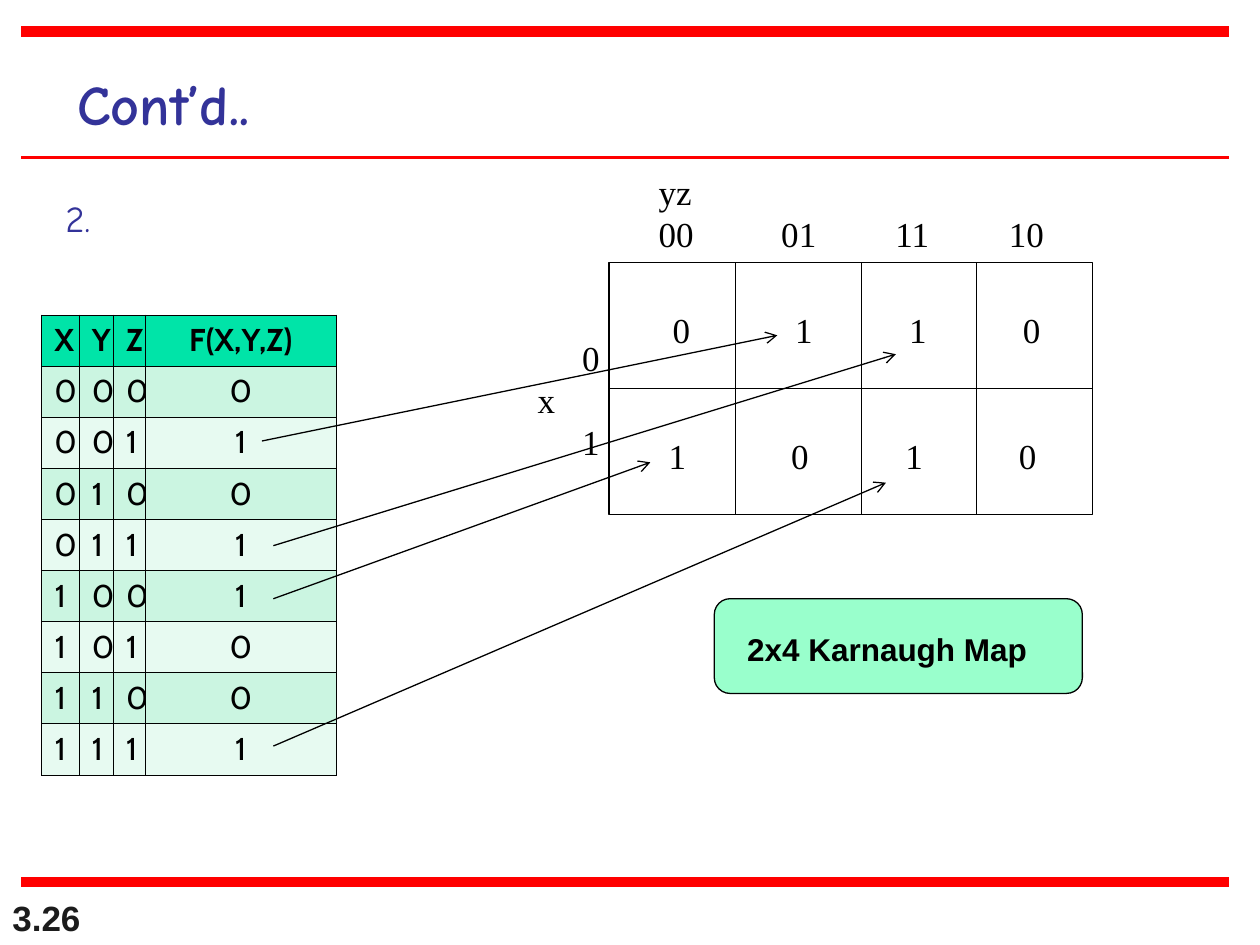
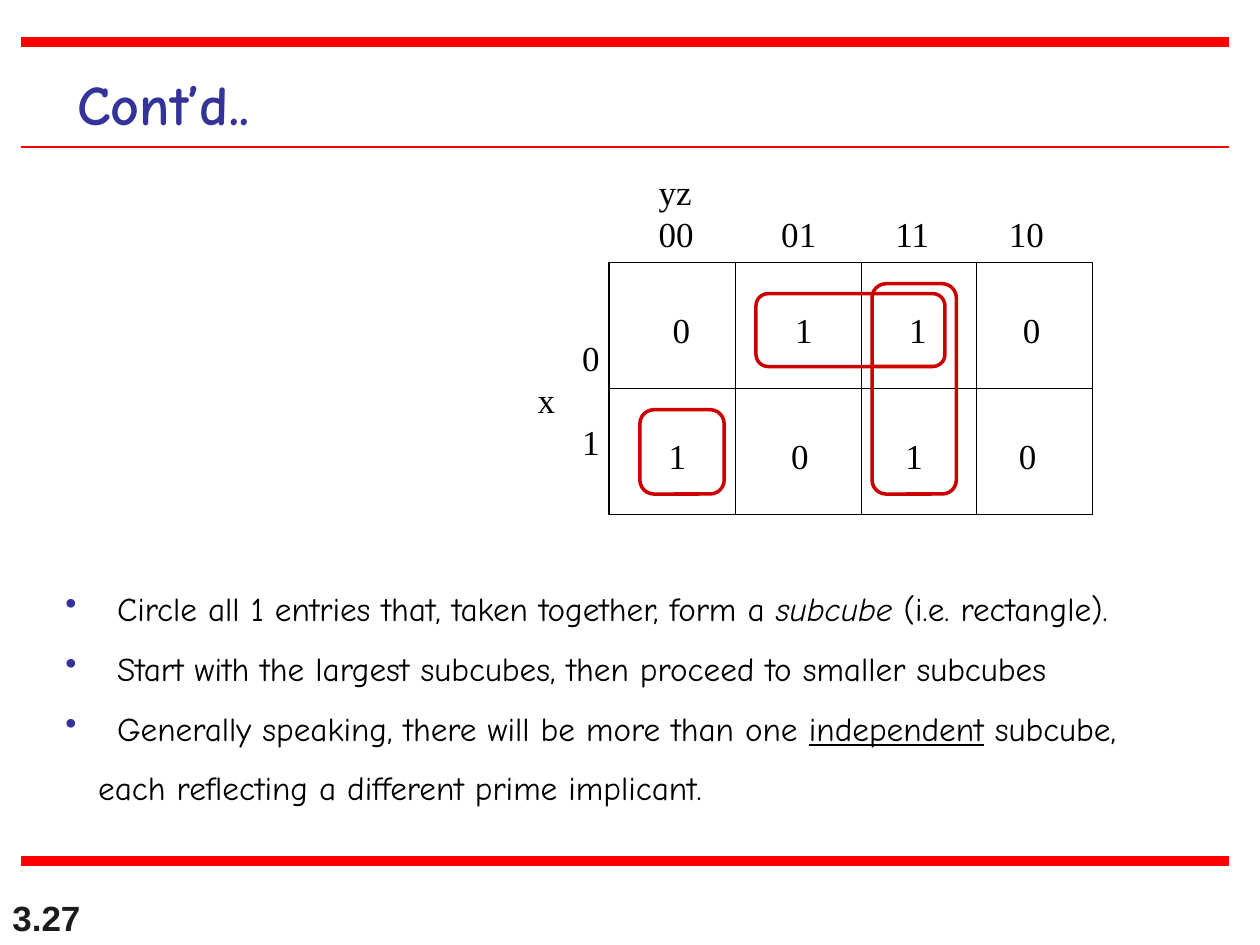
from dataclasses import dataclass
from itertools import pairwise, product
from typing import NamedTuple

from lxml.etree import SubElement
from pptx import Presentation
from pptx.dml.color import RGBColor
from pptx.enum.shapes import MSO_CONNECTOR, MSO_SHAPE
from pptx.enum.text import MSO_ANCHOR, MSO_AUTO_SIZE, PP_ALIGN
from pptx.oxml.ns import qn
from pptx.util import Cm, Pt

COLORS = {
    "rule": "FF0000",
    "title": "333399",
    "number": "1C1C1C",
    "ink": "000000",
    "loop": "CC0000",
    "caption": "99FFCC",
    "header": "00E4A8",
    "odd_row": "CBF5E1",
    "even_row": "E7FAF1",
}


class Box(NamedTuple):
    left: float
    top: float
    width: float
    height: float

    def lengths(self) -> list[Cm]:
        return [Cm(value) for value in self]


class Line(NamedTuple):
    x1: float
    y1: float
    x2: float
    y2: float


class Style(NamedTuple):
    font: str
    size: float
    color: str = "ink"
    bold: bool = False


class Span(NamedTuple):
    text: str
    italic: bool = False
    underline: bool = False


@dataclass(frozen=True)
class Frame:
    number: str
    top_rule: float
    title_rule: float
    bottom_rule: float


@dataclass(frozen=True)
class Label:
    box: Box
    lines: tuple[str, ...]
    style: Style
    anchor: MSO_ANCHOR = MSO_ANCHOR.MIDDLE
    spacing: float = 1.0
    tabs: tuple[float, ...] = ()
    aligns: tuple[PP_ALIGN, ...] = (PP_ALIGN.LEFT,)


TITLE = Style("Comic Neue", 32, "title", True)
NUMBER = Style("Arial", 20, "number", True)
ITEM = Style("Comic Neue", 21, "title")
BODY = Style("Comic Neue", 19)
MAP = Style("Times New Roman", 20)
CAPTION = Style("Arial", 18, bold=True)
TABLE_HEAD = Style("Cabin", 18, bold=True)
TABLE_BODY = Style("Cabin", 18)

FRAMES = (
    Frame("3.26", 0.64, 3.18, 17.78),
    Frame("3.27", 0.85, 2.96, 17.36),
)
RULE_LEFT, RULE_RIGHT = 0.43, 24.77

MAP_BOX = Box(12.28, 5.29, 9.74, 5.08)
MAP_COLUMNS = (14.82, 17.36, 19.69)
MAP_TABS = (2.47, 4.77, 7.06)
MAP_LABELS = (
    Label(Box(13.31, 6.1, 8.3, 1.09), ("0\t1\t1\t0",), MAP, tabs=MAP_TABS),
    Label(Box(13.03, 3.3, 8.3, 1.96), ("yz\v00\t01\t11\t10",), MAP, tabs=MAP_TABS),
    Label(Box(10.59, 6.65, 1.75, 2.79), ("0", "x", "1"), MAP,
          aligns=(PP_ALIGN.RIGHT, PP_ALIGN.LEFT, PP_ALIGN.RIGHT)),
    Label(Box(13.23, 8.64, 8.3, 1.09), ("1\t0\t1\t0",), MAP, tabs=MAP_TABS),
)

TABLE_BOX = Box(0.84, 6.35, 5.94, 9.27)
TABLE_WIDTHS = (0.76, 0.69, 0.64, 3.85)
TABLE_HEADINGS = ("X", "Y", "Z", "F(X,Y,Z)")
MINTERMS = {(0, 0, 1), (0, 1, 1), (1, 0, 0), (1, 1, 1)}
ARROWS = (
    Line(5.28, 8.89, 15.67, 6.76),
    Line(5.51, 11.0, 18.06, 7.14),
    Line(5.51, 12.07, 13.11, 9.32),
    Line(5.51, 15.04, 17.86, 9.73),
)
CAPTION_BOX = Box(14.4, 12.07, 7.42, 1.91)
SUBCUBES = (
    Box(15.24, 5.92, 3.81, 1.47),
    Box(12.9, 8.26, 1.7, 1.7),
    Box(17.58, 5.72, 1.7, 4.24),
)

RULES_BOX = Box(1.07, 11.33, 23.7, 5.1)
BULLET_INDENT, CONTINUED_INDENT = 1.04, 0.66
BULLETS = (
    (Span("Circle all 1 entries that, taken together, form a "),
     Span("subcube", italic=True), Span(" (i.e. rectangle).")),
    (Span("Start with the largest subcubes, then proceed to smaller subcubes"),),
    (Span("Generally speaking, there will be more than one "),
     Span("independent", underline=True), Span(" subcube,")),
)
CONTINUED = (Span("each reflecting a different prime implicant."),)


def rgb(name: str) -> RGBColor:
    return RGBColor.from_string(COLORS[name])


def format_para(para, style: Style) -> None:
    para.font.name = style.font
    para.font.size = Pt(style.size)
    para.font.bold = style.bold
    para.font.color.rgb = rgb(style.color)


def add_tabs(para, tabs: tuple[float, ...]) -> None:
    tab_list = SubElement(para._p.get_or_add_pPr(), qn("a:tabLst"))
    for position in tabs:
        SubElement(tab_list, qn("a:tab"), pos=str(Cm(position)), algn="l")


def add_frame_box(page, box: Box, anchor: MSO_ANCHOR):
    frame = page.shapes.add_textbox(*box.lengths()).text_frame
    frame.word_wrap = True
    frame.vertical_anchor = anchor
    return frame


def add_label(page, label: Label) -> None:
    frame = add_frame_box(page, label.box, label.anchor)
    aligns = label.aligns * (len(label.lines) // len(label.aligns))
    for index, (text, align) in enumerate(zip(label.lines, aligns)):
        para = frame.paragraphs[0] if index == 0 else frame.add_paragraph()
        para.text = text
        para.alignment = align
        para.line_spacing = label.spacing
        if label.tabs:
            add_tabs(para, label.tabs)
        format_para(para, label.style)


def add_line(page, line: Line, color: str, width: float, arrow: bool = False) -> None:
    ends = [Cm(value) for value in line]
    connector = page.shapes.add_connector(MSO_CONNECTOR.STRAIGHT, *ends)
    connector.line.color.rgb = rgb(color)
    connector.line.width = Pt(width)
    properties = connector._element.spPr
    if arrow:
        SubElement(properties.find(qn("a:ln")), qn("a:tailEnd"), type="arrow")
    SubElement(properties, qn("a:effectLst"))


def add_outline(page, kind: MSO_SHAPE, box: Box, color: str, width: float,
                fill: str | None = None) -> None:
    shape = page.shapes.add_shape(kind, *box.lengths())
    shape.shadow.inherit = False
    shape.line.color.rgb = rgb(color)
    shape.line.width = Pt(width)
    if fill:
        shape.fill.solid()
        shape.fill.fore_color.rgb = rgb(fill)
    else:
        shape.fill.background()


def add_page(deck, frame: Frame):
    page = deck.slides.add_slide(deck.slide_layouts[5])
    title = page.shapes.title
    title.left, title.top, title.width, title.height = Box(1.3, 1.27, 3.99, 1.63).lengths()
    title.text_frame.text = "Cont’d.."
    title.text_frame.word_wrap = False
    title.text_frame.auto_size = MSO_AUTO_SIZE.NONE
    title.text_frame.vertical_anchor = MSO_ANCHOR.TOP
    title_para = title.text_frame.paragraphs[0]
    title_para.alignment = PP_ALIGN.LEFT
    format_para(title_para, TITLE)

    add_label(page, Label(Box(0, 17.78, 5.28, 1.27), (frame.number,), NUMBER, MSO_ANCHOR.BOTTOM))
    for y, width in ((frame.top_rule, 6), (frame.title_rule, 1.5), (frame.bottom_rule, 6)):
        add_line(page, Line(RULE_LEFT, y, RULE_RIGHT, y), "rule", width)
    return page


def add_karnaugh_map(page) -> None:
    left, top, width, height = MAP_BOX
    for label in MAP_LABELS:
        add_label(page, label)
    middle = top + height / 2
    add_line(page, Line(left, middle, left + width, middle), "ink", 0.75)
    for x in MAP_COLUMNS:
        add_line(page, Line(x, top, x, top + height), "ink", 0.75)
    add_outline(page, MSO_SHAPE.RECTANGLE, MAP_BOX, "ink", 0.75)


def fill_cell(cell, text: str, style: Style, fill: str) -> None:
    properties = cell._tc.get_or_add_tcPr()
    for side in ("a:lnL", "a:lnR", "a:lnT", "a:lnB"):
        border = SubElement(properties, qn(side), w=str(Pt(0.45)))
        SubElement(SubElement(border, qn("a:solidFill")), qn("a:srgbClr"), val=COLORS["ink"])
    cell.fill.solid()
    cell.fill.fore_color.rgb = rgb(fill)
    para = cell.text_frame.paragraphs[0]
    para.text = text
    para.alignment = PP_ALIGN.CENTER
    format_para(para, style)


def add_truth_table(page) -> None:
    inputs = product((0, 1), repeat=3)
    rows = [TABLE_HEADINGS] + [(*bits, int(bits in MINTERMS)) for bits in inputs]
    table = page.shapes.add_table(len(rows), len(TABLE_WIDTHS), *TABLE_BOX.lengths()).table
    table.horz_banding = False
    for column, width in zip(table.columns, TABLE_WIDTHS):
        column.width = Cm(width)
    for row_index, values in enumerate(rows):
        table.rows[row_index].height = Cm(TABLE_BOX.height / len(rows))
        style = TABLE_BODY if row_index else TABLE_HEAD
        band = "odd_row" if row_index % 2 else "even_row"
        for column_index, value in enumerate(values):
            fill_cell(table.cell(row_index, column_index), str(value), style,
                      band if row_index else "header")


def add_rules(page) -> None:
    frame = add_frame_box(page, RULES_BOX, MSO_ANCHOR.TOP)
    for index, spans in enumerate((*BULLETS, CONTINUED)):
        para = frame.paragraphs[0] if index == 0 else frame.add_paragraph()
        para.line_spacing = 1.5
        properties = para._p.get_or_add_pPr()
        if spans is CONTINUED:
            properties.set("marL", str(Cm(CONTINUED_INDENT)))
        else:
            properties.set("marL", str(Cm(BULLET_INDENT)))
            properties.set("indent", str(-Cm(BULLET_INDENT)))
            bullet_color = SubElement(properties, qn("a:buClr"))
            SubElement(bullet_color, qn("a:srgbClr"), val=COLORS["title"])
            SubElement(properties, qn("a:buChar"), char="•")
        format_para(para, BODY)
        for part in spans:
            span = para.add_run()
            span.text = part.text
            if part.italic:
                span.font.italic = True
            if part.underline:
                span.font.underline = True


def main() -> None:
    deck = Presentation()
    deck.slide_width, deck.slide_height = Cm(25.4), Cm(19.05)
    mapping_page, subcube_page = [add_page(deck, frame) for frame in FRAMES]

    add_label(mapping_page, Label(Box(1.07, 3.38, 23.29, 1.6), ("2.",), ITEM,
                                  MSO_ANCHOR.TOP, 1.5))
    add_truth_table(mapping_page)
    add_karnaugh_map(mapping_page)
    for arrow in ARROWS:
        add_line(mapping_page, arrow, "ink", 0.75, arrow=True)
    add_outline(mapping_page, MSO_SHAPE.ROUNDED_RECTANGLE, CAPTION_BOX, "ink", 0.75, "caption")
    add_label(mapping_page, Label(Box(14.81, 12.57, 6.55, 1.02), ("2x4 Karnaugh Map",), CAPTION))

    add_karnaugh_map(subcube_page)
    add_rules(subcube_page)
    for subcube in SUBCUBES:
        add_outline(subcube_page, MSO_SHAPE.ROUNDED_RECTANGLE, subcube, "loop", 2)
    deck.save("out.pptx")


if __name__ == "__main__":
    main()
